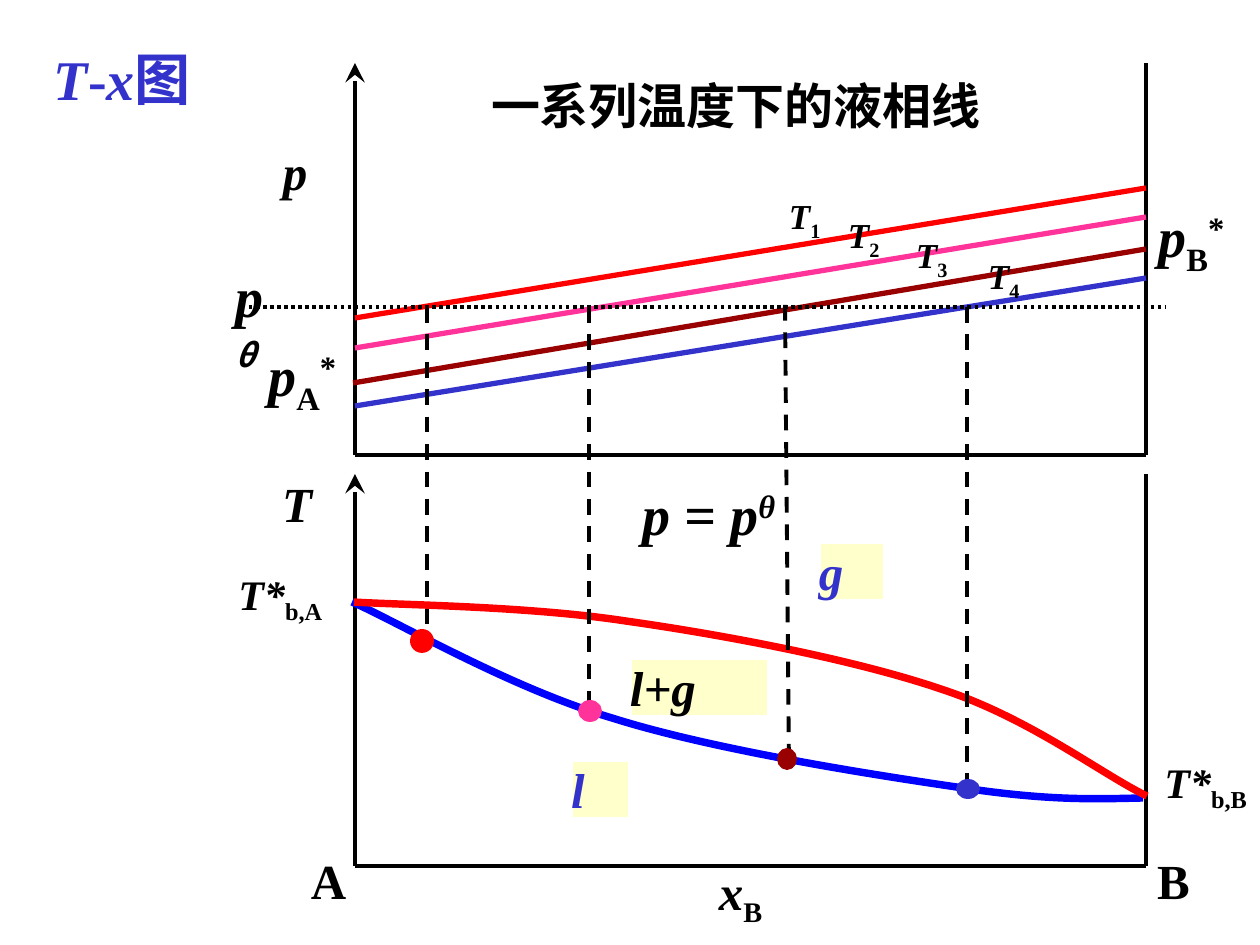
import lxml.etree
import pptx
import pptx.dml.color
import pptx.enum.dml
import pptx.enum.shapes
import pptx.enum.text
import pptx.oxml.ns
import pptx.util
from collections import namedtuple
from dataclasses import dataclass

PX = 914400 / 126
Box = namedtuple("Box", "x y w h")
qn = pptx.oxml.ns.qn
DASH = pptx.enum.dml.MSO_LINE


@dataclass(frozen=True)
class Theme:
    black: str = "000000"
    white: str = "FFFFFF"
    violet: str = "3333CC"
    maroon: str = "990000"
    pink: str = "FF3399"
    red: str = "FF0000"
    blue: str = "0000FF"
    cream: str = "FFFFCC"
    font: str = "Times New Roman"
    cjk: str = "Noto Sans CJK SC"
    large: int = 32
    medium: int = 28
    small: int = 24
    tiny: int = 20
    axis: float = 2.25
    isotherm: float = 3
    curve: float = 4.25
    dotted: float = 2


THEME = Theme()
BASELINES = {"sub": "-25000", "sup": "30000"}


def emu(px):
    return pptx.util.Emu(round(px * PX))


def rgb(value):
    return pptx.dml.color.RGBColor.from_string(value)


def set_line(shape, color, width):
    shape.line.color.rgb = rgb(color)
    shape.line.width = pptx.util.Pt(width)


def add_line(page, box, start, end, color, width, dash=None, arrow=False):
    points = [emu(v) for x, y in (start, end) for v in (box.x + x, box.y + y)]
    line = page.shapes.add_connector(pptx.enum.shapes.MSO_CONNECTOR.STRAIGHT, *points)
    set_line(line, color, width)
    if dash:
        line.line.dash_style = dash
    if arrow:
        outline = line.line._get_or_add_ln()
        lxml.etree.SubElement(outline, qn("a:tailEnd"), type="stealth", w="lg", len="lg")
    lxml.etree.SubElement(line._element.spPr, qn("a:effectLst"))


def add_preset(page, box, kind, place, fill, outline):
    x, y, w, h = place
    shape = page.shapes.add_shape(kind, emu(box.x + x), emu(box.y + y), emu(w), emu(h))
    shape.shadow.inherit = False
    if fill:
        shape.fill.solid()
        shape.fill.fore_color.rgb = rgb(fill)
    else:
        shape.fill.background()
    set_line(shape, outline, THEME.axis)
    return shape


def add_curve(page, box, points, color):
    start, *rest = [(emu(box.x + x), emu(box.y + y)) for x, y in points]
    builder = page.shapes.build_freeform(*start)
    builder.add_line_segments(rest, close=False)
    shape = builder.convert_to_shape()
    shape.shadow.inherit = False
    shape.fill.background()
    set_line(shape, color, THEME.curve)
    outline = next(shape._element.iter(qn("a:path")))
    segments = outline.findall(qn("a:lnTo"))
    for first in range(0, len(segments), 3):
        bezier = lxml.etree.SubElement(outline, qn("a:cubicBezTo"))
        for segment in segments[first:first + 3]:
            bezier.append(segment[0])
            outline.remove(segment)


def add_label(page, box, place, spans, size, color=THEME.black, fill=None,
              framed=False, inset=False, wrap=True):
    x, y, w, h = place
    if framed:
        kind = pptx.enum.shapes.MSO_SHAPE.RECTANGLE
        shape = add_preset(page, box, kind, place, fill, THEME.white)
    else:
        shape = page.shapes.add_textbox(emu(box.x + x), emu(box.y + y), emu(w), emu(h))
    frame = shape.text_frame
    frame.word_wrap = wrap
    frame.auto_size = pptx.enum.text.MSO_AUTO_SIZE.SHAPE_TO_FIT_TEXT
    frame.vertical_anchor = pptx.enum.text.MSO_ANCHOR.TOP
    if not inset:
        frame.margin_left = frame.margin_right = 0
        frame.margin_top = frame.margin_bottom = 0
    para = frame.paragraphs[0]
    para.alignment = pptx.enum.text.PP_ALIGN.LEFT
    for text, *styles in spans:
        span = para.add_run()
        span.text = text
        span.font.size = pptx.util.Pt(size)
        span.font.bold = True
        span.font.italic = "i" in styles
        span.font.color.rgb = rgb(color)
        span.font.name = THEME.cjk if "cjk" in styles else THEME.font
        properties = span._r.get_or_add_rPr()
        lxml.etree.SubElement(properties, qn("a:ea"), typeface=THEME.cjk)
        for style in styles:
            if style in BASELINES:
                properties.set("baseline", BASELINES[style])


def add_axes(page, box):
    corner, right = (0, box.h), (box.w, box.h)
    add_line(page, box, corner, (0, 0), THEME.black, THEME.axis, arrow=True)
    add_line(page, box, corner, right, THEME.black, THEME.axis)
    add_line(page, box, right, (box.w, 0), THEME.black, THEME.axis)


def add_pressure_diagram(page, box):
    add_axes(page, box)
    isotherms = [
        (THEME.violet, 0, 343, 215), (THEME.maroon, -2, 320, 186),
        (THEME.pink, 0, 285, 154), (THEME.red, 0, 255, 125),
    ]
    for color, left, start, end in isotherms:
        add_line(page, box, (left, start), (box.w, end), color, THEME.isotherm)
    add_line(page, box, (-106, 244), (811, 244), THEME.black, THEME.dotted, DASH.ROUND_DOT)

    add_label(page, box, (-72, 79, 49, 59), [("p", "i")], THEME.medium, framed=True)
    add_label(page, box, (136, 13, 586, 59), [("一系列温度下的液相线",)], THEME.medium)
    tags = [(434, 132), (493, 151), (561, 171), (633, 192)]
    for number, (x, y) in enumerate(tags, 1):
        add_label(page, box, (x, y, 60, 48), [("T", "i"), (str(number), "sub")], THEME.tiny)
    add_label(page, box, (-132, 192, 72, 81), [("p", "i"), ("θ", "i", "sup", "cjk")],
              THEME.large, inset=True)
    for x, y, component in [(-99, 271, "A"), (791, 132, "B")]:
        spans = [("p", "i"), (component, "sub"), ("*", "sup")]
        add_label(page, box, (x, y, 104, 89), spans, THEME.large, inset=True, wrap=False)


def add_temperature_diagram(page, box):
    add_axes(page, box)
    liquid = [(-3, 128), (41, 147), (155, 214), (257, 244), (358, 276),
              (519, 301), (608, 314), (696, 327), (741, 325), (788, 324)]
    gas = [(-1, 128), (44, 131), (173, 132), (271, 147), (370, 161),
           (502, 186), (589, 216), (676, 245), (748, 301), (792, 322)]
    add_curve(page, box, liquid, THEME.blue)
    add_curve(page, box, gas, THEME.red)

    add_label(page, box, (-73, 0, 59, 59), [("T", "i")], THEME.medium, framed=True)
    add_label(page, box, (-44, 377, 52, 59), [("A",)], THEME.medium)
    add_label(page, box, (802, 377, 58, 59), [("B",)], THEME.medium)
    add_label(page, box, (364, 387, 79, 67), [("x", "i"), ("B", "sub")], THEME.medium)
    phases = [("g", 464, 68, 66, THEME.violet), ("l", 216, 286, 59, THEME.violet),
              ("l+g", 275, 184, 139, THEME.black)]
    for text, x, y, width, color in phases:
        add_label(page, box, (x, y, width, 59), [(text, "i")], THEME.medium,
                  color, THEME.cream, framed=True)
    for x, y, width, component in [(-129, 88, 120, "b,A"), (797, 276, 108, "b,B")]:
        add_label(page, box, (x, y, width, 71), [("T*", "i"), (component, "sub")],
                  THEME.small, inset=True, wrap=False)
    add_label(page, box, (275, -1, 164, 81),
              [("p", "i"), (" = ",), ("p", "i"), ("θ", "i", "sup")],
              THEME.large, inset=True, wrap=False)


def add_boiling_points(page, box):
    ties = [((72, 244), (72, 577)), ((234, 244), (234, 646)),
            ((430, 242), (434, 707)), ((612, 244), (612, 725))]
    dots = [((57, 568, 20, 20), THEME.red), ((225, 639, 20, 18), THEME.pink),
            ((424, 687, 16, 18), THEME.maroon), ((603, 718, 20, 16), THEME.violet)]
    for start, end in ties:
        add_line(page, box, start, end, THEME.black, THEME.axis, DASH.DASH)
    for place, color in dots:
        add_preset(page, box, pptx.enum.shapes.MSO_SHAPE.OVAL, place, color, color)


def main():
    deck = pptx.Presentation()
    deck.slide_width, deck.slide_height = emu(1260), emu(945)
    page = deck.slides.add_slide(deck.slide_layouts[6])
    add_label(page, Box(54, 45, 479, 67), (0, 0, 479, 67),
              [("T", "i"), ("-",), ("x", "i"), ("图",)], THEME.large, THEME.violet)
    add_pressure_diagram(page, Box(355, 63, 791, 392))
    add_temperature_diagram(page, Box(355, 474, 791, 392))
    add_boiling_points(page, Box(355, 63, 791, 803))
    deck.save("out.pptx")


if __name__ == "__main__":
    main()
